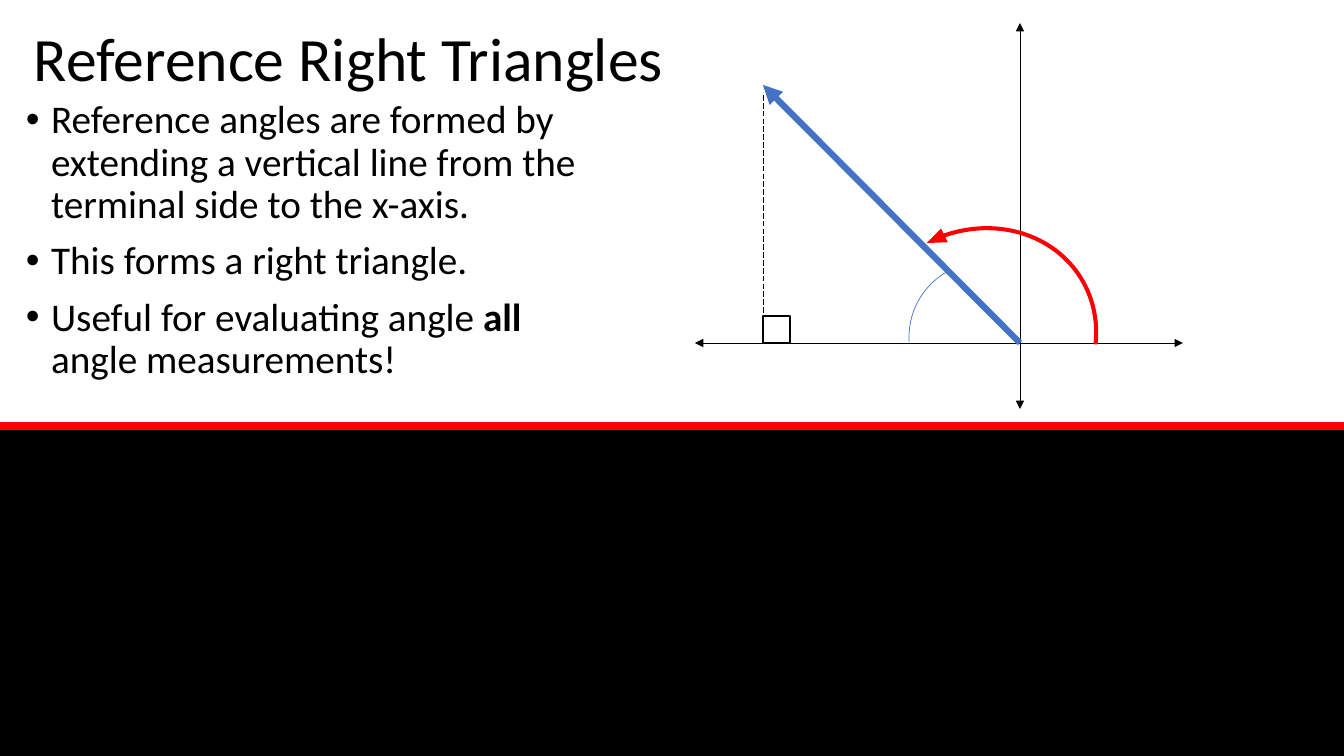
"""Build the slide on reference right triangles."""
import pptx
import pptx.dml.color
import pptx.enum.dml
import pptx.enum.shapes
import pptx.enum.text
import pptx.oxml
import pptx.oxml.ns
import pptx.util

PX = 914400 / 100.8
COLORS = {"black": "000000", "red": "FF0000", "blue": "4472C4"}
FONT = "Calibri"
ORIGIN_X, ORIGIN_Y = 1020, 343
TERMINAL_X, TERMINAL_Y = 763, 85
CORNER = 27
SHAPES = pptx.enum.shapes.MSO_SHAPE

deck = pptx.Presentation()
deck.slide_width = round(1344 * PX)
deck.slide_height = round(756 * PX)
page = deck.slides.add_slide(deck.slide_layouts[6])


def add_figure(kind, bounds, fill=None, line=None, width=1):
    shape = page.shapes.add_shape(kind, *(round(value * PX) for value in bounds))
    shape.shadow.inherit = False
    if fill:
        shape.fill.solid()
        shape.fill.fore_color.rgb = pptx.dml.color.RGBColor.from_string(COLORS[fill])
    else:
        shape.fill.background()
    if line:
        shape.line.color.rgb = pptx.dml.color.RGBColor.from_string(COLORS[line])
        shape.line.width = pptx.util.Pt(width)
    else:
        shape.line.fill.background()
    return shape


def add_line(ends, color, width, arrows=(), dash=None):
    connector = page.shapes.add_connector(
        pptx.enum.shapes.MSO_CONNECTOR.STRAIGHT, *(round(value * PX) for value in ends))
    connector.line.color.rgb = pptx.dml.color.RGBColor.from_string(COLORS[color])
    connector.line.width = pptx.util.Pt(width)
    if dash:
        connector.line.dash_style = dash
    outline = connector.line._get_or_add_ln()
    for arrow in arrows:
        pptx.oxml.ns.qn(arrow)
        outline.append(outline.makeelement(pptx.oxml.ns.qn(arrow), {"type": "triangle"}))
    properties = connector._element.spPr
    properties.append(properties.makeelement(pptx.oxml.ns.qn("a:effectLst"), {}))


add_figure(SHAPES.RECTANGLE, (0, 426, 1344, 330), fill="black")
add_line((0, 426, 1344, 426), "red", 6)

title = [[("Reference Right Triangles", False)]]
points = [
    [("Reference angles are formed by extending a vertical line from the "
      "terminal side to the x-axis.", False)],
    [("This forms a right triangle.", False)],
    [("Useful for evaluating angle ", False), ("all", True), (" angle measurements!", False)],
]
anchors = pptx.enum.text.MSO_ANCHOR
for bounds, anchor, size, bulleted, paragraphs in (
    ((24, -11, 1159, 146), anchors.MIDDLE, 44, False, title),
    ((16, 95, 587, 480), anchors.TOP, 28, True, points),
):
    box = page.shapes.add_textbox(*(round(value * PX) for value in bounds))
    frame = box.text_frame
    frame.word_wrap = True
    frame.vertical_anchor = anchor
    for index, pieces in enumerate(paragraphs):
        para = frame.add_paragraph() if index else frame.paragraphs[0]
        para.line_spacing = 0.9
        if index:
            para.space_before = pptx.util.Pt(10)
        if bulleted:
            layout = para._p.get_or_add_pPr()
            layout.set("marL", "228600")
            layout.set("indent", "-228600")
            for tag, attributes in (("a:buFont", {"typeface": "Arial"}), ("a:buChar", {"char": "•"})):
                layout.append(layout.makeelement(pptx.oxml.ns.qn(tag), attributes))
        para.font.name = FONT
        para.font.size = pptx.util.Pt(size)
        para.font.color.rgb = pptx.dml.color.RGBColor.from_string(COLORS["black"])
        for words, bold in pieces:
            span = para.add_run()
            span.text = words
            if bold:
                span.font.bold = True

both_ends = ("a:headEnd", "a:tailEnd")
add_line((ORIGIN_X, 23, ORIGIN_X, 409), "black", 0.5, both_ends)
add_line((1183, ORIGIN_Y, 695, ORIGIN_Y), "black", 0.5, both_ends)
add_line((ORIGIN_X, ORIGIN_Y, TERMINAL_X, TERMINAL_Y), "blue", 4.5, ("a:tailEnd",))
add_line((TERMINAL_X, TERMINAL_Y + 10, TERMINAL_X, ORIGIN_Y), "black", 0.5,
         dash=pptx.enum.dml.MSO_LINE.LONG_DASH)
add_figure(SHAPES.RECTANGLE, (TERMINAL_X, ORIGIN_Y - CORNER, CORNER, CORNER), line="black")

rotation_arrow = add_figure(SHAPES.CIRCULAR_ARROW, (857, 212, 238, 262), fill="red")
rotation_arrow.rotation = 58.4
rotation_arrow._element.spPr.xfrm.set("flipH", "1")
for index, value in enumerate((0.017, 5.98, 206.83, 142.66, 0.032)):
    rotation_arrow.adjustments[index] = value

reference_arc = add_figure(SHAPES.ARC, (909, 262, 150, 150), line="blue", width=0.5)
reference_arc.rotation = 241.4
reference_arc.adjustments[0] = 176.87
reference_arc.adjustments[1] = 0

deck.save("out.pptx")
